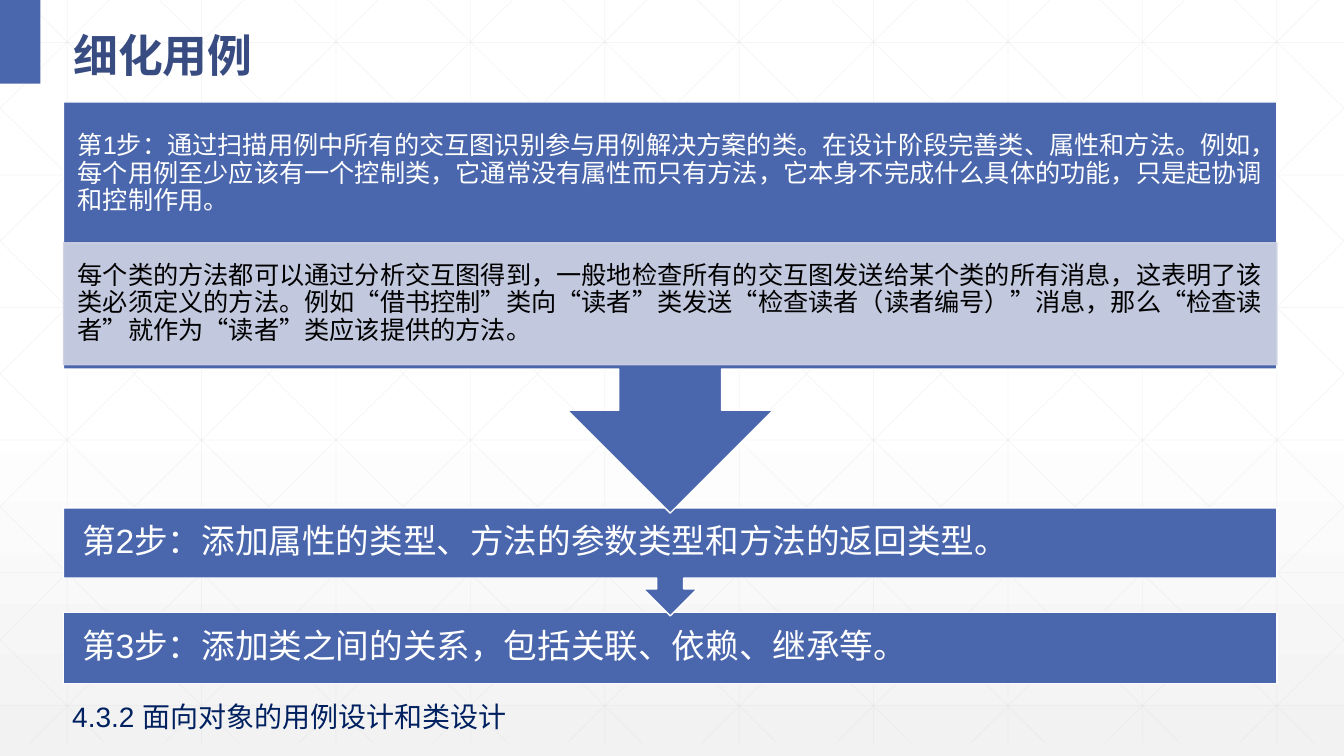
from lxml import etree
from pptx import Presentation
from pptx.dml.color import RGBColor
from pptx.enum.lang import MSO_LANGUAGE_ID
from pptx.enum.shapes import MSO_CONNECTOR, MSO_SHAPE
from pptx.enum.text import MSO_ANCHOR, PP_ALIGN
from pptx.oxml.ns import qn
from pptx.util import Cm, Pt

WIDTH, HEIGHT = 33.87, 19.05
GRID_BOTTOM = 18.72
BLUE, WHITE = "4A66AC", "FFFFFF"
color = RGBColor.from_string

prs = Presentation()
prs.slide_width, prs.slide_height = Cm(WIDTH), Cm(HEIGHT)
slide = prs.slides.add_slide(prs.slide_layouts[6])
shapes = slide.shapes

background = slide.background.fill
background.gradient()
background.gradient_angle = 270
for stop, position, shade in zip(background.gradient_stops, (0.53, 1), (WHITE, "F2F2F2")):
    stop.position = position
    stop.color.rgb = color(shade)


def add_line(x1, y1, x2, y2, shade, width, opacity=100):
    line = shapes.add_connector(MSO_CONNECTOR.STRAIGHT, Cm(x1), Cm(y1), Cm(x2), Cm(y2))
    line.line.color.rgb = color(shade)
    line.line.width = Pt(width)
    etree.SubElement(line._element.spPr, qn("a:effectLst"))
    for rgb in line._element.iter(qn("a:srgbClr")):
        etree.SubElement(rgb, qn("a:alpha"), val=str(opacity * 1000))


def write(shape, text, size, shade, insets, spacing=1.0, font="Arial", bold=False):
    """Fill a shape with one left-aligned paragraph; insets are left, top, right, bottom in cm."""
    frame = shape.text_frame
    frame.word_wrap = True
    frame.vertical_anchor = MSO_ANCHOR.MIDDLE
    frame.margin_left, frame.margin_top, frame.margin_right, frame.margin_bottom = map(Cm, insets)
    paragraph = frame.paragraphs[0]
    paragraph.text = text
    paragraph.alignment = PP_ALIGN.LEFT
    paragraph.line_spacing = spacing
    paragraph.font.name = font
    paragraph.font.size = Pt(size)
    paragraph.font.bold = bold
    paragraph.font.color.rgb = color(shade)
    paragraph.font.language_id = MSO_LANGUAGE_ID.SIMPLIFIED_CHINESE


# Background grid: verticals, horizontals and mirrored diagonals
step = WIDTH / 10
grid = [(step * (i + 0.5), 0, step * (i + 0.5), GRID_BOTTOM) for i in range(10)]
grid += [(0, 1.07 + 3.34 * i, WIDTH, 1.07 + 3.34 * i) for i in range(6)]
slope = GRID_BOTTOM / 18.94
for i in range(-5, 10):
    start = 0.63 + step * i
    left, right = max(start, 0), min(start + 18.94, WIDTH)
    top, bottom = (left - start) * slope, (right - start) * slope
    grid += [(left, top, right, bottom), (WIDTH - left, top, WIDTH - right, bottom)]
for ends in grid:
    add_line(*ends, "D9D9D9", 0.5, 25)
add_line(1.69, 17.15, 32.18, 17.15, "384C81", 1)

corner = shapes.add_shape(MSO_SHAPE.RECTANGLE, 0, 0, Cm(1.02), Cm(2.11))
corner.shadow.inherit = False
corner.fill.solid()
corner.fill.fore_color.rgb = color(BLUE)
corner.line.fill.background()

title = shapes.add_textbox(Cm(1.6), Cm(0.25), Cm(31.55), Cm(1.85))
write(title, "细化用例", 32, "384C81", (0.25, 0.13, 0.25, 0.13), 1.3, "Noto Sans CJK SC", True)

# Steps from back to front: kind, top, height, fill, line, text, size, text colour, insets
steps = [
    (MSO_SHAPE.RECTANGLE, 15.44, 1.78, BLUE, WHITE,
     "第3步：添加类之间的关系，包括关联、依赖、继承等。",
     24, WHITE, (0.47, 0.47, 0.47, 0.47)),
    (MSO_SHAPE.DOWN_ARROW_CALLOUT, 12.8, 2.72, BLUE, WHITE,
     "第2步：添加属性的类型、方法的参数类型和方法的返回类型。",
     24, WHITE, (0.47, 0.47, 0.47, 0.47)),
    (MSO_SHAPE.DOWN_ARROW_CALLOUT, 2.57, 10.36, BLUE, WHITE,
     "第1步：通过扫描用例中所有的交互图识别参与用例解决方案的类。在设计阶段完善类、属性和方法。"
     "例如，每个用例至少应该有一个控制类，它通常没有属性而只有方法，它本身不完成什么具体的功能，"
     "只是起协调和控制作用。",
     18, WHITE, (0.36, 0.36, 0.36, 3.46)),
    (MSO_SHAPE.RECTANGLE, 6.12, 3.07, "D0D3E3", "D0D3E3",
     "每个类的方法都可以通过分析交互图得到，一般地检查所有的交互图发送给某个类的所有消息，"
     "这表明了该类必须定义的方法。例如“借书控制”类向“读者”类发送“检查读者（读者编号）”消息，"
     "那么“检查读者”就作为“读者”类应该提供的方法。",
     18, "000000", (0.36, 0.08, 0.36, 0.08)),
]
for kind, top, height, fill, outline, text, size, shade, insets in steps:
    box = shapes.add_shape(kind, Cm(1.6), Cm(top), Cm(30.58), Cm(height))
    box.shadow.inherit = False
    box.fill.solid()
    box.fill.fore_color.rgb = color(fill)
    box.line.color.rgb = color(outline)
    box.line.width = Pt(1)
    write(box, text, size, shade, insets, 0.9)

# The last box, the detail of step 1, lets the callout show through
for rgb in box._element.spPr.iter(qn("a:srgbClr")):
    etree.SubElement(rgb, qn("a:alpha"), val="90000")

section = shapes.add_textbox(Cm(1.57), Cm(17.48), Cm(15.34), Cm(1.12))
write(section, "4.3.2 面向对象的用例设计和类设计", 20, "002060", (0.25, 0.13, 0.25, 0.13))

prs.save("out.pptx")
